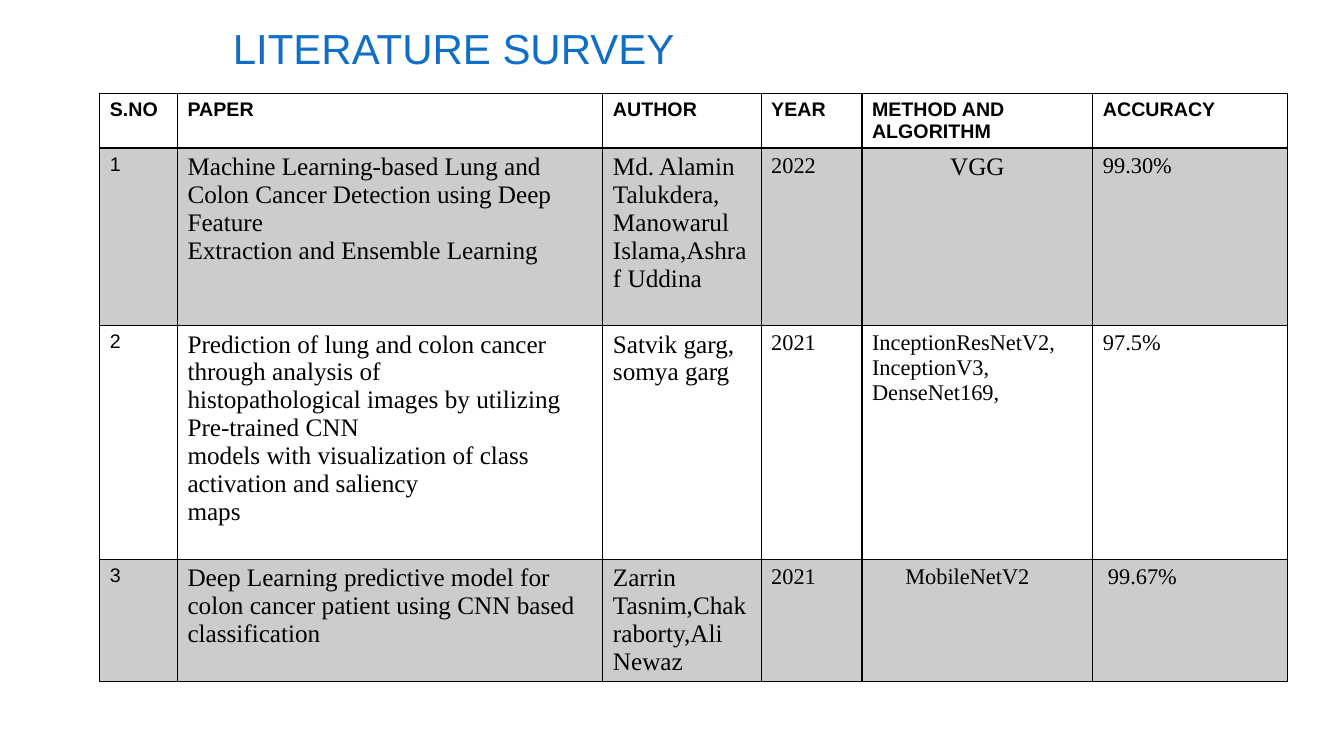
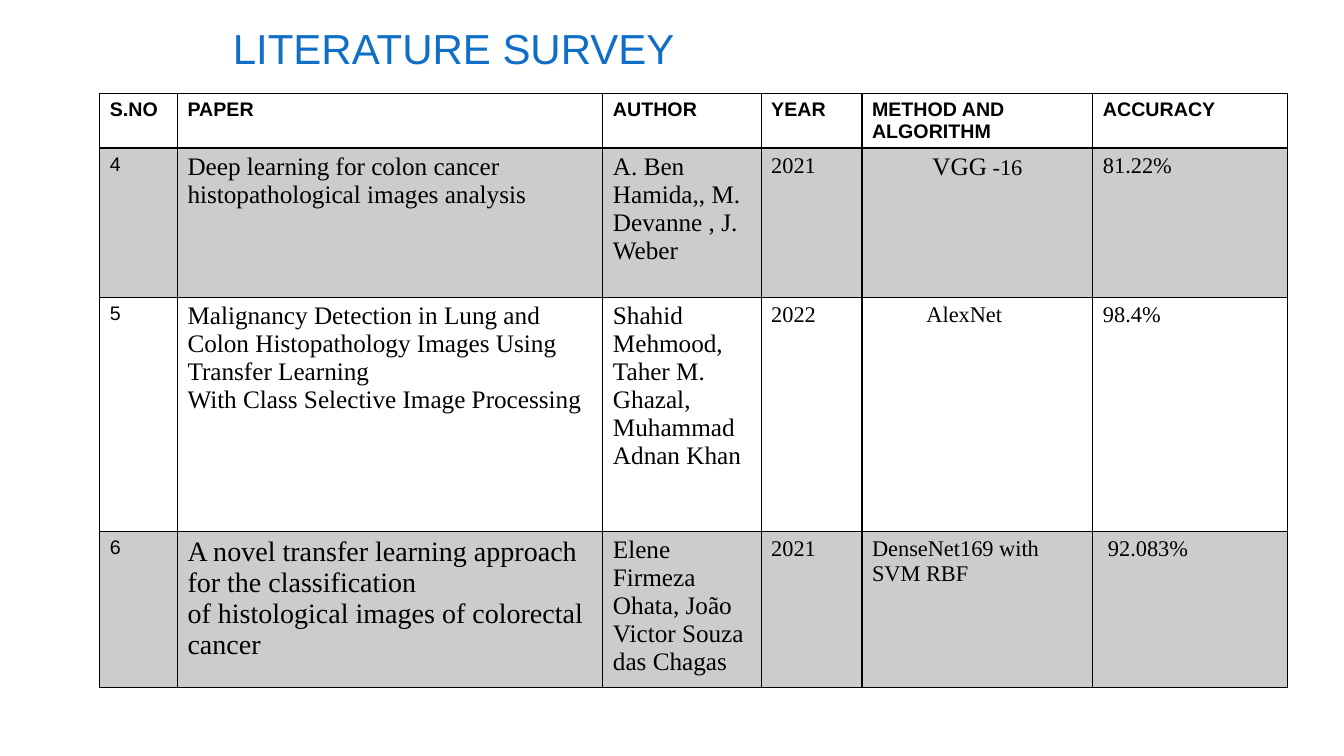
from lxml import etree
from pptx import Presentation
from pptx import util as u
from pptx.dml.color import RGBColor
from pptx.enum import text
from pptx.oxml import ns

COLORS = {"title": "0F6FC6", "ink": "000000", "band": "CCCCCC", "paper": "FFFFFF"}
SANS, SERIF = "Arial", "Times New Roman"
WIDTH, HEIGHT = 13.33, 7.5
TITLE_BOX = (2.31, 0, 11.4, 0.72)
TABLE_ORIGIN = (0.99, 0.93)
COLS = (0.77, 4.22, 1.57, 1, 2.29, 1.93)
HEADERS = ("S.NO", "PAPER", "AUTHOR", "YEAR", "METHOD AND ALGORITHM", "ACCURACY")
COLUMN_FORMATS = (
    {"size": 14, "font": SANS},
    {"size": 18},
    {"size": 18},
    {"size": 16},
    {"size": 16},
    {"size": 16},
)
CENTER = text.PP_ALIGN.CENTER

SURVEYS = (
    {
        "rows": (0.54, 1.76, 2.32, 1.21),
        "papers": (
            ("1",
             "Machine Learning-based Lung and Colon Cancer Detection using Deep Feature\n"
             "Extraction and Ensemble Learning",
             "Md. Alamin Talukdera,\nManowarul Islama,Ashraf Uddina",
             "2022", "VGG", "99.30%"),
            ("2",
             "Prediction of lung and colon cancer through analysis of\n"
             "histopathological images by utilizing Pre-trained CNN\n"
             "models with visualization of class activation and saliency\n"
             "maps",
             "Satvik garg, somya garg",
             "2021", "InceptionResNetV2, InceptionV3,\nDenseNet169,", "97.5%"),
            ("3",
             "Deep Learning predictive model for colon cancer patient using CNN based "
             "classification",
             "Zarrin Tasnim,Chakraborty,Ali Newaz",
             "2021", "MobileNetV2", "99.67%"),
        ),
        "formats": {
            (1, 4): {"size": 18, "align": CENTER},
            (3, 4): {"indent": 0.33},
            (3, 5): {"indent": 0.05},
        },
    },
    {
        "rows": (0.54, 1.48, 2.32, 1.55),
        "papers": (
            ("4",
             "Deep learning for colon cancer histopathological images analysis",
             "A. Ben Hamida,, M. Devanne , J. Weber",
             "2021", "VGG", "81.22%"),
            ("5",
             "Malignancy Detection in Lung and Colon Histopathology Images Using "
             "Transfer Learning\nWith Class Selective Image Processing",
             "Shahid Mehmood, Taher M. Ghazal, Muhammad Adnan Khan",
             "2022", "AlexNet", "98.4%"),
            ("6",
             "A novel transfer learning approach for the classification\n"
             "of histological images of colorectal cancer",
             "Elene Firmeza Ohata, João Victor Souza das Chagas",
             "2021", "DenseNet169 with SVM RBF", "92.083%"),
        ),
        "formats": {
            (1, 4): {"size": 18, "align": CENTER, "suffix": " -16", "suffix_size": 16},
            (2, 4): {"indent": 0.54},
            (3, 1): {"size": 20},
            (3, 5): {"indent": 0.05},
        },
    },
)


def add_run(p, content, size, font, color, bold):
    """Append one formatted run to a paragraph."""
    r = p.add_run()
    r.text = content
    r.font.size = u.Pt(size)
    r.font.name = font
    r.font.bold = bold
    r.font.color.rgb = RGBColor.from_string(COLORS[color])


def write(tf, content, size=18, font=SERIF, color="ink", bold=False,
          align=text.PP_ALIGN.LEFT, suffix="", suffix_size=None):
    """Write each line as a paragraph, with an optional closing run of another size."""
    for i, line in enumerate(content.split("\n")):
        p = tf.add_paragraph() if i else tf.paragraphs[0]
        p.alignment = align
        add_run(p, line, size, font, color, bold)
    if suffix:
        add_run(p, suffix, suffix_size or size, font, color, bold)


def set_borders(cell, bottom=1):
    """Draw the four cell edges; the bottom one may be heavier."""
    tc_pr = cell._tc.get_or_add_tcPr()
    for edge, points in (("L", 1), ("R", 1), ("T", 1), ("B", bottom)):
        ln = etree.SubElement(tc_pr, ns.qn(f"a:ln{edge}"), w=str(u.Pt(points)))
        fill = etree.SubElement(ln, ns.qn("a:solidFill"))
        etree.SubElement(fill, ns.qn("a:srgbClr"), val=COLORS["ink"])


def fill_cell(cell, content, band=False, bottom=1, indent=0, **fmt):
    """Set the border, background and text of one cell."""
    set_borders(cell, bottom)
    cell.fill.solid()
    cell.fill.fore_color.rgb = RGBColor.from_string(COLORS["band" if band else "paper"])
    cell.margin_left = u.Inches(0.1 + indent)
    cell.margin_right = u.Inches(0.1)
    cell.margin_top = cell.margin_bottom = u.Inches(0.05)
    write(cell.text_frame, content, **fmt)


def place_title(s, box, content):
    """Move the title placeholder into the box and format it."""
    sp = s.shapes.title
    sp.left, sp.top, sp.width, sp.height = map(u.Inches, box)
    tf = sp.text_frame
    tf.word_wrap = True
    tf.auto_size = text.MSO_AUTO_SIZE.NONE
    tf.vertical_anchor = text.MSO_ANCHOR.BOTTOM
    tf.margin_left = tf.margin_right = tf.margin_bottom = 0
    tf.margin_top = u.Inches(0.05)
    write(tf, content, size=30, font=SANS, color="title")


def place_table(s, origin, rows, papers, formats):
    """Build the survey table from its top left corner."""
    box = (*origin, sum(COLS), sum(rows))
    table = s.shapes.add_table(len(rows), len(COLS), *map(u.Inches, box)).table
    table.first_row = table.horz_banding = False
    for column, width in zip(table.columns, COLS):
        column.width = u.Inches(width)
    for row, height in zip(table.rows, rows):
        row.height = u.Inches(height)
    for c, header in enumerate(HEADERS):
        fill_cell(table.cell(0, c), header, bottom=2, size=14, font=SANS, bold=True)
    for r, paper in enumerate(papers, 1):
        for c, content in enumerate(paper):
            fmt = {**COLUMN_FORMATS[c], **formats.get((r, c), {})}
            fill_cell(table.cell(r, c), content, band=r % 2 == 1, **fmt)


def add_survey_slide(prs, survey):
    """Add a slide with the shared title and one survey table."""
    s = prs.slides.add_slide(prs.slide_layouts[5])
    place_title(s, TITLE_BOX, "LITERATURE SURVEY")
    place_table(s, TABLE_ORIGIN, **survey)


def main():
    """Build and save the presentation."""
    prs = Presentation()
    prs.slide_width, prs.slide_height = u.Inches(WIDTH), u.Inches(HEIGHT)
    for survey in SURVEYS:
        add_survey_slide(prs, survey)
    prs.save("out.pptx")


if __name__ == "__main__":
    main()
